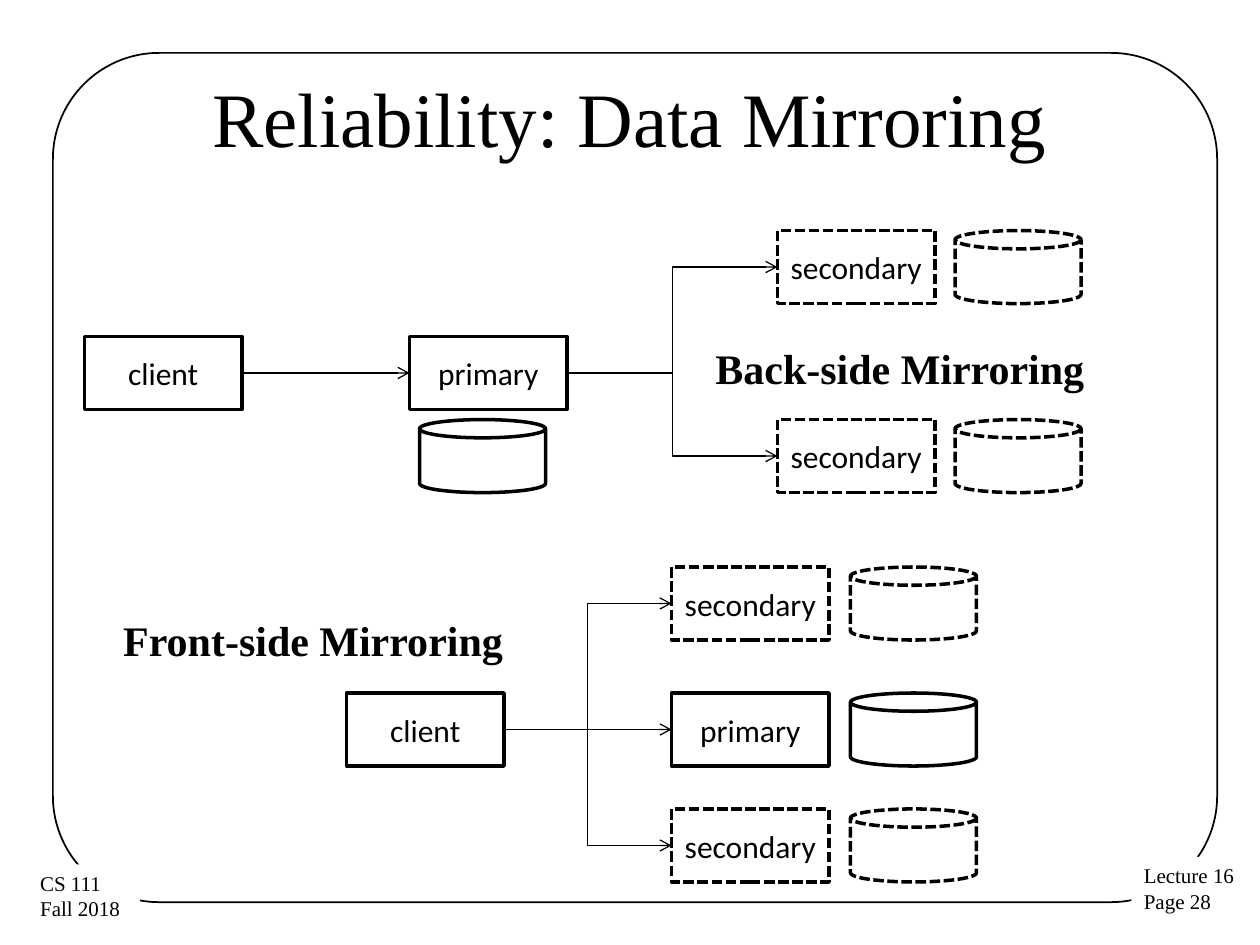
from lxml import etree
from pptx import Presentation
from pptx.dml.color import RGBColor
from pptx.enum.dml import MSO_LINE_DASH_STYLE as Dash
from pptx.enum.shapes import MSO_CONNECTOR as Connector, MSO_SHAPE as Shape
from pptx.enum.text import MSO_ANCHOR as Anchor, PP_ALIGN as Align
from pptx.oxml.ns import qn
from pptx.util import Inches, Pt

BLACK, WHITE = "000000", "FFFFFF"
SERIF, SANS = "Times New Roman", "Calibri"
NODE_WIDTH, DISK_WIDTH, HEIGHT = 1.25, 1, 0.58
LEFT_SITE, RIGHT_SITE = 1, 3


def color(hex_code):
    return RGBColor.from_string(hex_code)


def write(shape, lines, size, font, bold=False, align=Align.LEFT,
          anchor=Anchor.TOP, wrap=True):
    frame = shape.text_frame
    frame.text = "\n".join(lines)
    frame.word_wrap = wrap
    frame.vertical_anchor = anchor
    for paragraph in frame.paragraphs:
        paragraph.alignment = align
        paragraph.font.size = Pt(size)
        paragraph.font.name = font
        paragraph.font.bold = bold
        paragraph.font.color.rgb = color(BLACK)


def add_outline(page, kind, left, top, width, height, weight=2, dashed=False):
    shape = page.shapes.add_shape(
        kind, Inches(left), Inches(top), Inches(width), Inches(height))
    shape.shadow.inherit = False
    shape.fill.background()
    shape.line.color.rgb = color(BLACK)
    shape.line.width = Pt(weight)
    if dashed:
        shape.line.dash_style = Dash.SQUARE_DOT
    return shape


def add_node(page, name, left, top):
    node = add_outline(page, Shape.RECTANGLE, left, top, NODE_WIDTH, HEIGHT,
                       dashed=name == "secondary")
    write(node, [name], 18, SANS, align=Align.CENTER, anchor=Anchor.MIDDLE,
          wrap=False)
    return node


def add_disk(page, left, top, dashed=False):
    add_outline(page, Shape.CAN, left, top, DISK_WIDTH, HEIGHT, dashed=dashed)


def add_label(page, lines, left, top, width, height, size, bold=False,
              wrap=True, fill=None):
    box = page.shapes.add_textbox(
        Inches(left), Inches(top), Inches(width), Inches(height))
    if fill:
        box.fill.solid()
        box.fill.fore_color.rgb = color(fill)
    write(box, lines, size, SERIF, bold, wrap=wrap)


def add_arrow(page, source, target):
    level = source.top == target.top
    arrow = page.shapes.add_connector(
        Connector.STRAIGHT if level else Connector.ELBOW,
        source.left + source.width, source.top + source.height // 2,
        target.left, target.top + target.height // 2)
    arrow.begin_connect(source, RIGHT_SITE)
    arrow.end_connect(target, LEFT_SITE)
    arrow.line.color.rgb = color(BLACK)
    arrow.line.width = Pt(0.75)
    etree.SubElement(arrow.line._get_or_add_ln(), qn("a:tailEnd"), type="arrow")
    etree.SubElement(arrow._element.spPr, qn("a:effectLst"))


def add_frame(page):
    frame = add_outline(page, Shape.ROUNDED_RECTANGLE, 0.42, 0.42, 9.24, 6.74,
                        weight=1)
    frame.adjustments[0] = 0.125
    add_label(page, ["Lecture 16", "Page 28"], 8.98, 6.8, 0.93, 0.51, 12,
              wrap=False, fill=WHITE)
    add_label(page, ["CS 111", "Fall 2018"], 0.22, 6.86, 0.89, 0.51, 12,
              wrap=False, fill=WHITE)


def add_title(page, text):
    title = page.shapes.title
    title.left, title.top = Inches(0.5), Inches(0.3)
    title.width, title.height = Inches(9), Inches(1.25)
    write(title, [text], 44, SERIF, align=Align.CENTER, anchor=Anchor.MIDDLE)


def add_replicas(page, source, left, disk_left, rows):
    for name, top in rows:
        replica = add_node(page, name, left, top)
        add_disk(page, disk_left, top, dashed=name == "secondary")
        add_arrow(page, source, replica)


def main():
    deck = Presentation()
    deck.slide_width, deck.slide_height = Inches(10), Inches(7.5)
    page = deck.slides.add_slide(deck.slide_layouts[5])

    # Frame, corner notes and title
    add_frame(page)
    add_title(page, "Reliability: Data Mirroring")

    # Back-side: the primary forwards to the secondaries
    client = add_node(page, "client", 0.67, 2.67)
    primary = add_node(page, "primary", 3.25, 2.67)
    add_disk(page, 3.33, 3.33)
    add_arrow(page, client, primary)
    add_replicas(page, primary, 6.17, 7.58,
                 [("secondary", 1.83), ("secondary", 3.33)])
    add_label(page, ["Back-side Mirroring"], 5.58, 2.67, 3.5, 0.5, 24, bold=True)

    # Front-side: the client writes to every replica
    client = add_node(page, "client", 2.75, 5.5)
    add_replicas(page, client, 5.33, 6.75,
                 [("secondary", 4.5), ("primary", 5.5), ("secondary", 6.42)])
    add_label(page, ["Front-side Mirroring"], 0.88, 4.83, 3.5, 0.5, 24, bold=True)

    deck.save("out.pptx")


main()
